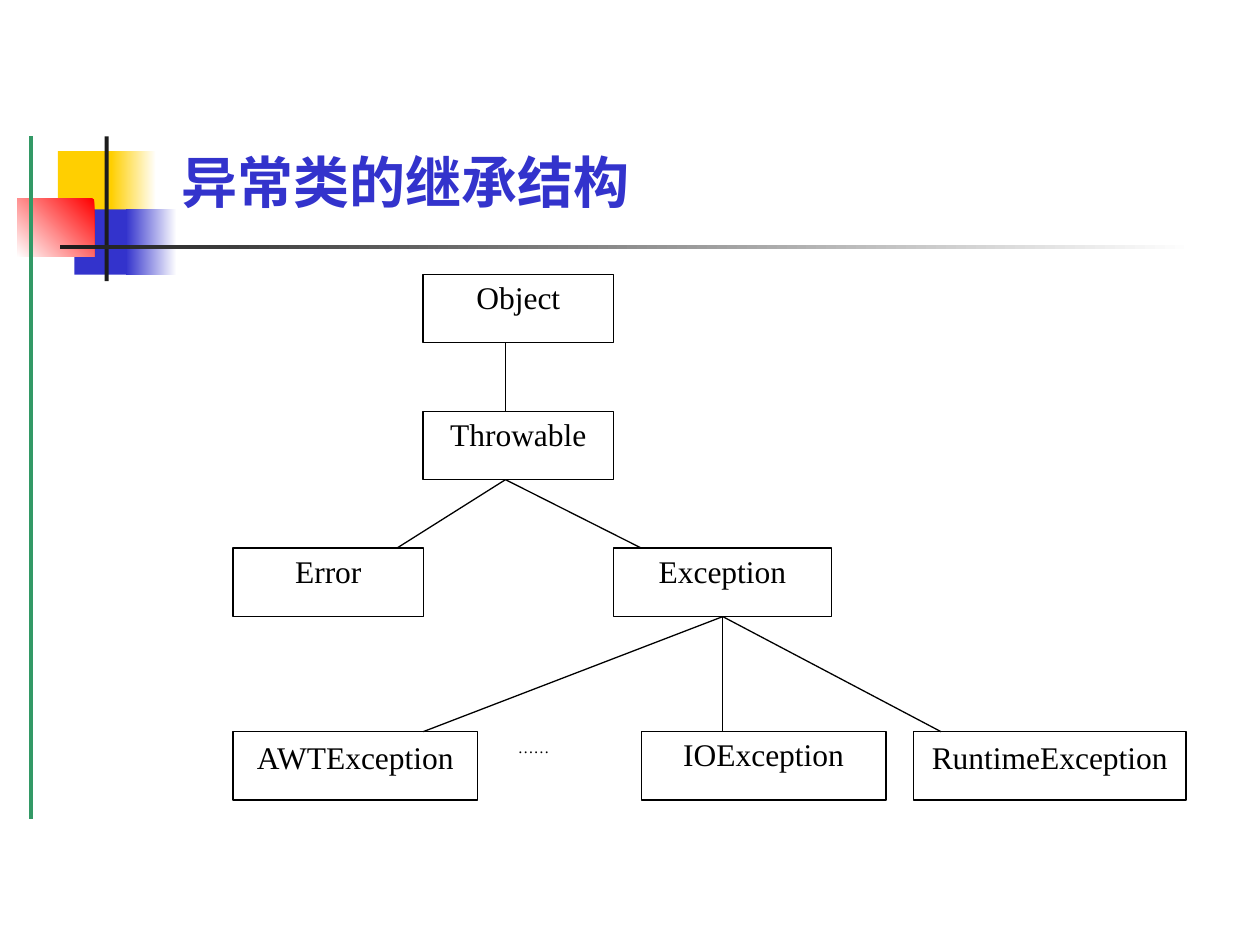
import pptx
import pptx.dml.color
import pptx.enum.shapes
import pptx.enum.text
import pptx.oxml
import pptx.oxml.ns
import pptx.util
from pptx.util import Cm

RGBColor = pptx.dml.color.RGBColor
ALIGN = pptx.enum.text.PP_ALIGN
ANCHOR = pptx.enum.text.MSO_ANCHOR

WHITE = RGBColor(0xFF, 0xFF, 0xFF)
BLACK = RGBColor(0x00, 0x00, 0x00)
CHARCOAL = RGBColor(0x1C, 0x1C, 0x1C)
YELLOW = RGBColor(0xFF, 0xCF, 0x01)
BLUE = RGBColor(0x33, 0x33, 0xCC)
RED = RGBColor(0xFF, 0x00, 0x00)
GREEN = RGBColor(0x33, 0x99, 0x66)

# Class tree, in centimetres
BOX_HEIGHT = 1.38
OBJECT_ROW, THROWABLE_ROW, ERROR_ROW = (5.53 + 2 * BOX_HEIGHT * row for row in range(3))
LEAF_ROW = 14.75
THROWABLE_X = 10.19
EXCEPTION_X = 14.57

# label, left, top, width, line spacing, space after
CLASS_BOXES = [
    ("Object", 8.53, OBJECT_ROW, 3.84, 0.96, 2.5),
    ("Throwable", 8.53, THROWABLE_ROW, 3.84, 0.96, 2.5),
    ("Error", 4.7, ERROR_ROW, 3.84, 0.96, 2.5),
    ("Exception", 12.37, ERROR_ROW, 4.39, 0.96, 2.5),
    ("AWTException", 4.7, LEAF_ROW, 4.93, 1.0, 0),
    ("IOException", 12.93, LEAF_ROW, 4.93, 0.96, 2.5),
    ("RuntimeException", 18.42, LEAF_ROW, 5.49, 1.0, 0),
]

# parent x, parent row, child x, child row
BRANCHES = [
    (THROWABLE_X, OBJECT_ROW, THROWABLE_X, THROWABLE_ROW),
    (THROWABLE_X, THROWABLE_ROW, 8.0, ERROR_ROW),
    (THROWABLE_X, THROWABLE_ROW, 12.93, ERROR_ROW),
    (EXCEPTION_X, ERROR_ROW, EXCEPTION_X, LEAF_ROW),
    (EXCEPTION_X, ERROR_ROW, 8.53, LEAF_ROW),
    (EXCEPTION_X, ERROR_ROW, 18.97, LEAF_ROW),
]


def write_text(shape, text, size=18, font="Times New Roman", color=BLACK, bold=False,
               align=ALIGN.CENTER, anchor=ANCHOR.TOP, line_spacing=1.0, space_after=0):
    frame = shape.text_frame
    frame.word_wrap = True
    frame.vertical_anchor = anchor
    paragraph = frame.paragraphs[0]
    paragraph.alignment = align
    paragraph.line_spacing = line_spacing
    paragraph.space_after = pptx.util.Pt(space_after)
    run = paragraph.add_run()
    run.text = text
    run.font.size = pptx.util.Pt(size)
    run.font.name = font
    run.font.bold = bold
    run.font.color.rgb = color


class SlideBuilder:
    """Draws on one slide, with lengths in centimetres."""

    def __init__(self, slide, line_width=0.75):
        self.slide = slide
        self.line_width = line_width

    def rectangle(self, left, top, width, height, fill=WHITE, line=None):
        shape = self.slide.shapes.add_shape(
            pptx.enum.shapes.MSO_SHAPE.RECTANGLE, Cm(left), Cm(top), Cm(width), Cm(height))
        shape.shadow.inherit = False
        shape.fill.solid()
        shape.fill.fore_color.rgb = fill
        if line is None:
            shape.line.fill.background()
        else:
            shape.line.color.rgb = line
            shape.line.width = pptx.util.Pt(self.line_width)
        return shape

    def gradient(self, left, top, width, height, start, end, angle=180):
        """Add a two-colour rectangle; angle runs counter-clockwise."""
        shape = self.rectangle(left, top, width, height)
        shape.fill.gradient()
        shape.fill.gradient_angle = angle
        for stop, color in zip(shape.fill.gradient_stops, (start, end)):
            stop.color.rgb = color

    def line(self, x1, y1, x2, y2, color=BLACK, width=None):
        connector = self.slide.shapes.add_connector(
            pptx.enum.shapes.MSO_CONNECTOR.STRAIGHT, Cm(x1), Cm(y1), Cm(x2), Cm(y2))
        connector.line.color.rgb = color
        connector.line.width = pptx.util.Pt(width or self.line_width)
        properties = connector._element.spPr
        properties.append(pptx.oxml.parse_xml(
            "<a:effectLst %s/>" % pptx.oxml.ns.nsdecls("a")))

    def text_box(self, left, top, width, height, text, **text_format):
        box = self.slide.shapes.add_textbox(Cm(left), Cm(top), Cm(width), Cm(height))
        write_text(box, text, **text_format)


def draw_decoration(builder):
    builder.rectangle(1.17, 3.05, 1.22, 1.32, YELLOW)
    builder.gradient(2.24, 3.05, 0.91, 1.32, WHITE, YELLOW)
    builder.rectangle(1.5, 4.22, 1.17, 1.32, BLUE)
    builder.gradient(2.54, 4.22, 1.02, 1.32, WHITE, BLUE)
    builder.gradient(0.35, 4.01, 1.55, 1.17, RED, WHITE, angle=225)
    builder.rectangle(2.11, 2.75, 0.08, 2.92, CHARCOAL)
    builder.gradient(1.22, 4.94, 22.86, 0.09, WHITE, CHARCOAL)
    builder.line(0.63, 2.75, 0.63, 16.51, GREEN, width=2.25)


def draw_class_tree(builder):
    for label, left, top, width, line_spacing, space_after in CLASS_BOXES:
        box = builder.rectangle(left, top, width, BOX_HEIGHT, line=BLACK)
        write_text(box, label, line_spacing=line_spacing, space_after=space_after)
    ellipsis = builder.rectangle(THROWABLE_X, LEAF_ROW, 2.18, BOX_HEIGHT)
    write_text(ellipsis, "……", size=9, align=ALIGN.JUSTIFY)
    for parent_x, parent_row, child_x, child_row in BRANCHES:
        builder.line(parent_x, parent_row + BOX_HEIGHT, child_x, child_row)


def main():
    presentation = pptx.Presentation()
    presentation.slide_width = Cm(25.4)
    presentation.slide_height = Cm(19.05)
    slide = presentation.slides.add_slide(presentation.slide_layouts[6])
    builder = SlideBuilder(slide)
    draw_decoration(builder)
    builder.text_box(3.4, 0.79, 21.26, 3.66, "异常类的继承结构", size=32, font="Lato",
                     color=BLUE, bold=True, align=ALIGN.LEFT, anchor=ANCHOR.BOTTOM)
    draw_class_tree(builder)
    presentation.save("out.pptx")


if __name__ == "__main__":
    main()
